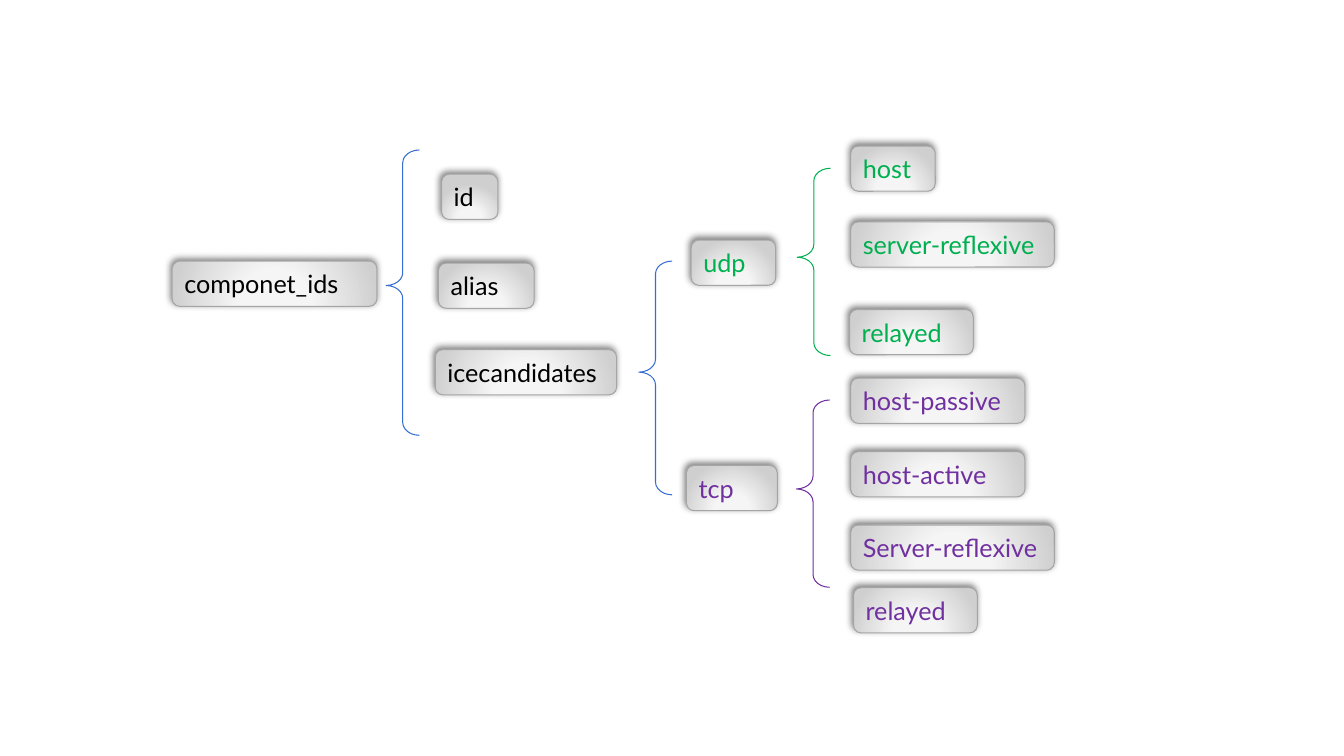
import dataclasses

import lxml.etree
import pptx
import pptx.dml.color
import pptx.enum.shapes
import pptx.enum.text
import pptx.oxml
import pptx.oxml.ns
import pptx.shapes.autoshape
import pptx.slide
import pptx.util

BLACK, BLUE, GREEN, PURPLE = "000000", "376ED1", "00B050", "7030A0"
BOX_LINE = "A5A5A5"
BOX_HEIGHT = 1.14
BRACE_WIDTH = 0.84
BRACE_ADJUSTMENTS = (0.385, 0.475)
LEAF_LEFT = 21.44
TCP_LEAF_TOP, TCP_LEAF_STEP = 9.53, 1.85
GRADIENT_STOPS = {0: "F8F8F8", 34: "F5F5F5", 100: "CFCFCF"}
NAMESPACE = pptx.oxml.ns.nsdecls("a")

FRAME_FORMAT = {
    "word_wrap": True,
    "auto_size": pptx.enum.text.MSO_AUTO_SIZE.SHAPE_TO_FIT_TEXT,
    "vertical_anchor": pptx.enum.text.MSO_ANCHOR.MIDDLE,
}
FONT_FORMAT = {"name": "Lato", "size": pptx.util.Pt(18)}


@dataclasses.dataclass(frozen=True)
class Node:
    """A labelled box; lengths in centimetres."""
    text: str
    left: float
    top: float
    width: float
    color: str = BLACK


@dataclasses.dataclass(frozen=True)
class Brace:
    """A brace that opens a group of nodes; lengths in centimetres."""
    left: float
    top: float
    height: float
    color: str


TCP_LEAVES = [
    Node(text, LEAF_LEFT, TCP_LEAF_TOP + row * TCP_LEAF_STEP, width, PURPLE)
    for row, (text, width) in enumerate(
        [("host-passive", 4.39), ("host-active", 4.39), ("Server-reflexive", 5.13)]
    )
]

TREE = [
    Node("componet_ids", 4.34, 6.58, 5.16),
    Brace(9.73, 3.78, 7.19, BLUE),
    Node("id", 11.13, 4.39, 1.42),
    Node("alias", 11.05, 6.63, 2.41),
    Node("icecandidates", 10.97, 8.81, 4.57),
    Brace(16.1, 6.58, 5.89, BLUE),
    Node("udp", 17.42, 6.05, 2.13, GREEN),
    Node("tcp", 17.3, 11.73, 2.29, PURPLE),
    Brace(20.09, 4.24, 4.72, GREEN),
    Node("host", LEAF_LEFT, 3.68, 2.13, GREEN),
    Node("server-reflexive", LEAF_LEFT, 5.59, 5.13, GREEN),
    Node("relayed", 21.41, 7.8, 3.12, GREEN),
    Brace(20.07, 10.08, 4.72, PURPLE),
    *TCP_LEAVES,
    Node("relayed", 21.51, 14.81, 3.12, PURPLE),
]


def rgb(value: str) -> pptx.dml.color.RGBColor:
    return pptx.dml.color.RGBColor.from_string(value)


def set_attributes(target: object, values: dict) -> None:
    for name, value in values.items():
        setattr(target, name, value)


def gradient_fill() -> lxml.etree.ElementBase:
    """Radial gradient centred below the box."""
    stops = "".join(
        f'<a:gs pos="{percent * 1000}"><a:srgbClr val="{color}"/></a:gs>'
        for percent, color in GRADIENT_STOPS.items()
    )
    return pptx.oxml.parse_xml(
        f'<a:gradFill {NAMESPACE} rotWithShape="1"><a:gsLst>{stops}</a:gsLst>'
        '<a:path path="circle">'
        '<a:fillToRect l="50000" t="155000" r="50000" b="-55000"/>'
        "</a:path></a:gradFill>"
    )


def box_shadow() -> lxml.etree.ElementBase:
    return pptx.oxml.parse_xml(
        f'<a:outerShdw {NAMESPACE} blurRad="{pptx.util.Pt(5)}" '
        f'dist="{pptx.util.Pt(2)}" dir="{245 * 60000}" algn="ctr" rotWithShape="0">'
        '<a:srgbClr val="000000"><a:alpha val="50000"/></a:srgbClr></a:outerShdw>'
    )


def add_outline(
    slide: pptx.slide.Slide,
    kind: pptx.enum.shapes.MSO_SHAPE,
    bounds: tuple[float, float, float, float],
    line_color: str,
) -> pptx.shapes.autoshape.Shape:
    """Add an unfilled shape with a thin line and no shadow."""
    shape = slide.shapes.add_shape(kind, *map(pptx.util.Cm, bounds))
    shape.fill.background()
    shape.line.color.rgb = rgb(line_color)
    shape.line.width = pptx.util.Pt(0.75)
    shape.shadow.inherit = False
    return shape


def add_node(slide: pptx.slide.Slide, node: Node) -> None:
    bounds = (node.left, node.top, node.width, BOX_HEIGHT)
    shape = add_outline(
        slide, pptx.enum.shapes.MSO_SHAPE.ROUNDED_RECTANGLE, bounds, BOX_LINE
    )
    properties = shape.element.spPr
    empty_fill = properties.find(pptx.oxml.ns.qn("a:noFill"))
    properties.replace(empty_fill, gradient_fill())
    properties.find(pptx.oxml.ns.qn("a:effectLst")).append(box_shadow())

    set_attributes(shape.text_frame, FRAME_FORMAT)
    paragraph = shape.text_frame.paragraphs[0]
    paragraph.alignment = pptx.enum.text.PP_ALIGN.LEFT
    run = paragraph.add_run()
    run.text = node.text
    set_attributes(run.font, FONT_FORMAT)
    run.font.color.rgb = rgb(node.color)


def add_brace(slide: pptx.slide.Slide, brace: Brace) -> None:
    bounds = (brace.left, brace.top, BRACE_WIDTH, brace.height)
    shape = add_outline(
        slide, pptx.enum.shapes.MSO_SHAPE.LEFT_BRACE, bounds, brace.color
    )
    for index, value in enumerate(BRACE_ADJUSTMENTS):
        shape.adjustments[index] = value


def main() -> None:
    presentation = pptx.Presentation()
    presentation.slide_width = pptx.util.Cm(33.87)
    presentation.slide_height = pptx.util.Cm(19.05)
    slide = presentation.slides.add_slide(presentation.slide_layouts[6])
    for element in TREE:
        if isinstance(element, Node):
            add_node(slide, element)
        else:
            add_brace(slide, element)
    presentation.save("out.pptx")


if __name__ == "__main__":
    main()
